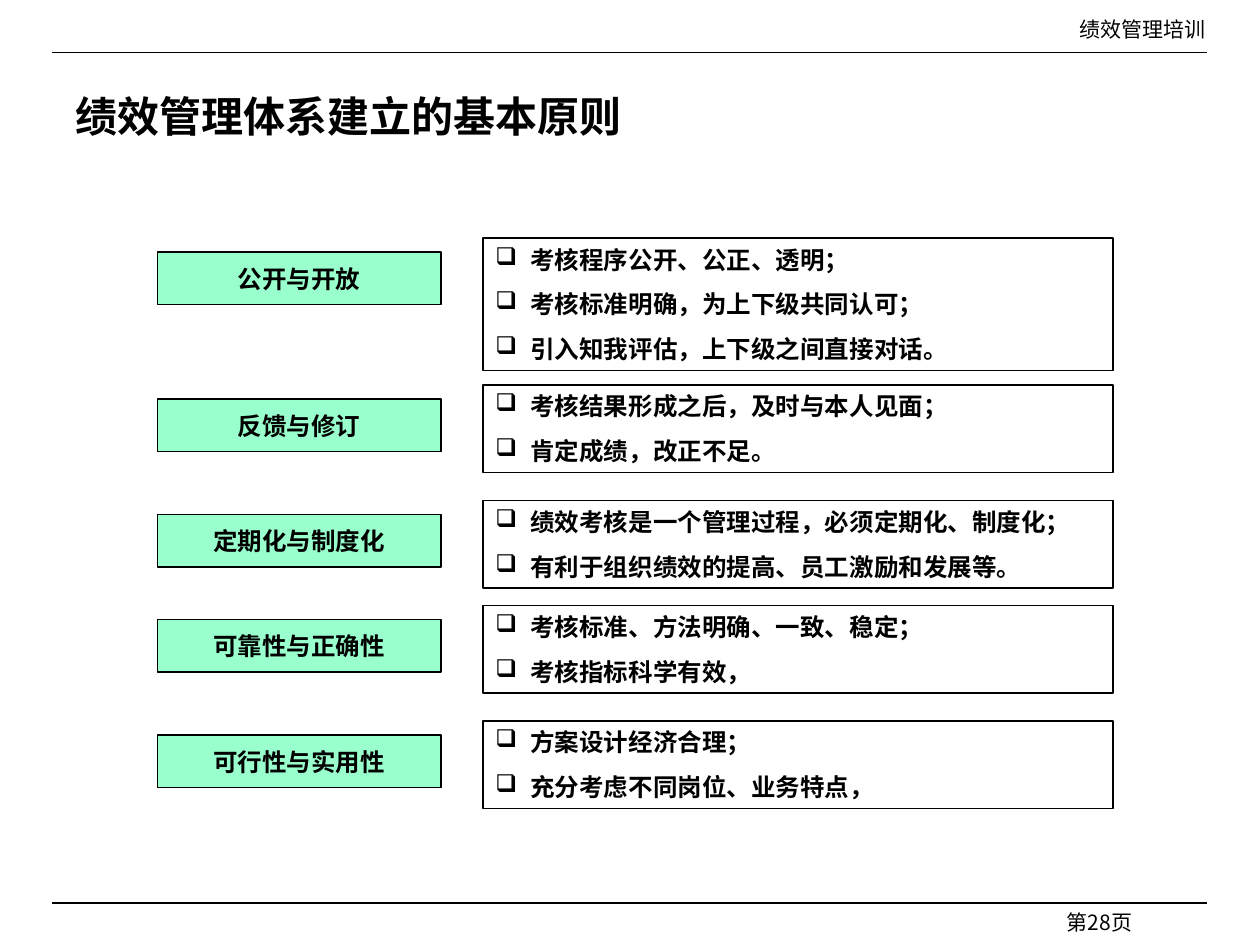
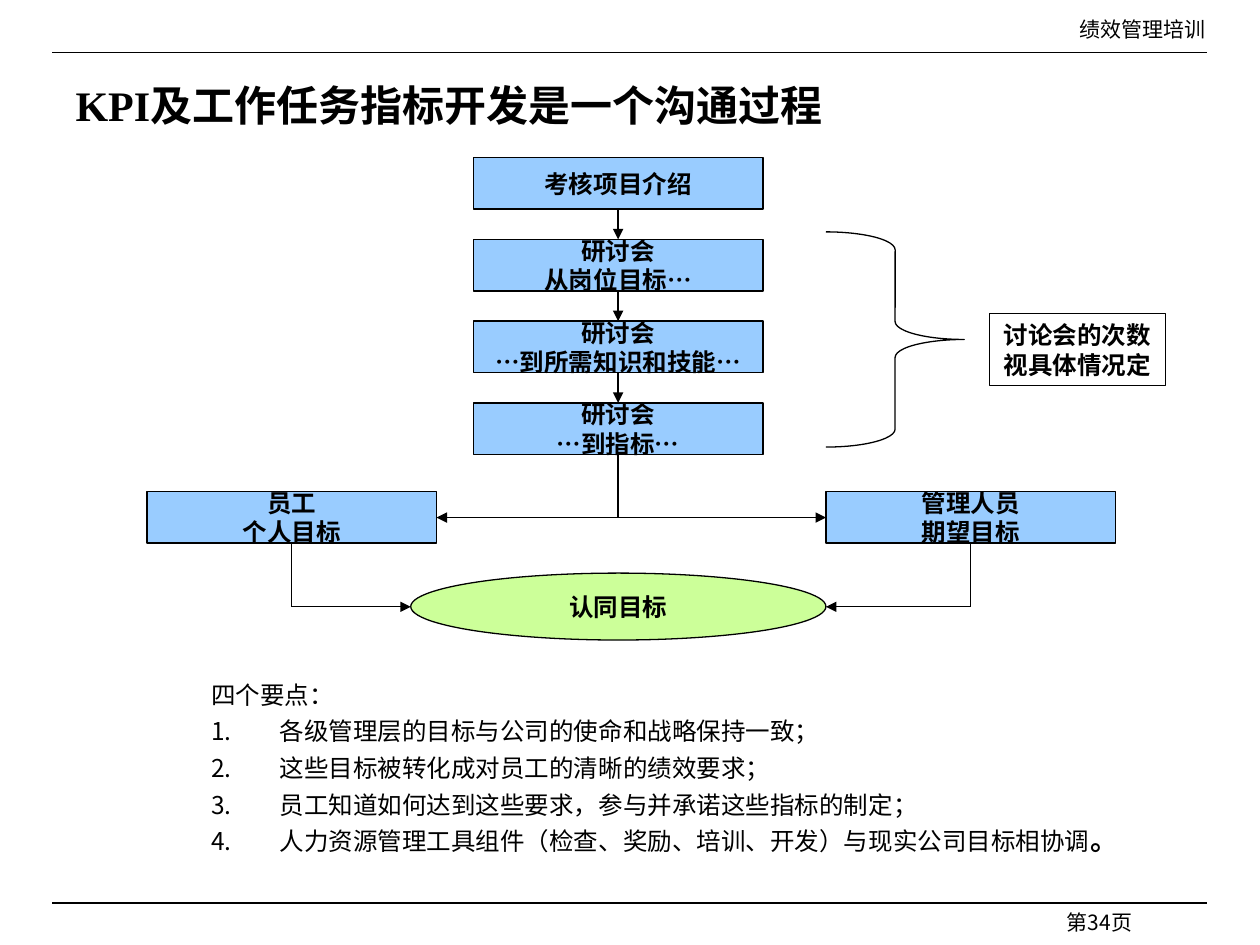
from copy import deepcopy
from lxml.etree import SubElement
from pptx import Presentation
from pptx.dml.color import RGBColor
from pptx.enum.shapes import MSO_CONNECTOR, MSO_SHAPE
from pptx.enum.text import MSO_ANCHOR, MSO_AUTO_SIZE, PP_ALIGN
from pptx.oxml.ns import qn
from pptx.util import Pt

BLACK = RGBColor(0x00, 0x00, 0x00)
MINT = RGBColor(0x99, 0xFF, 0xCC)
BLUE = RGBColor(0x99, 0xCC, 0xFF)
LIME = RGBColor(0xCC, 0xFF, 0x99)
SERIF = "Times New Roman"
SANS = "Noto Sans CJK SC"
LEFT, MID, RIGHT = PP_ALIGN.LEFT, PP_ALIGN.CENTER, PP_ALIGN.RIGHT


def write(shape, text, size=14, bold=True, font=SERIF, align=MID, lead=17,
          gap=0, anchor=MSO_ANCHOR.MIDDLE, wrap=True, mark=None, hang=0):
    """Fill a shape with one paragraph per line of text."""
    frame = shape.text_frame
    frame.auto_size = MSO_AUTO_SIZE.NONE
    frame.word_wrap = wrap
    frame.vertical_anchor = anchor
    frame.text = text
    for i, para in enumerate(frame.paragraphs):
        para.alignment = align
        if lead:
            para.line_spacing = Pt(lead)
        para.space_before = Pt(gap if i else 0)
        props = para._p.get_or_add_pPr()
        props.set("marL", str(Pt(hang)))
        props.set("indent", str(-Pt(hang)))
        if mark == "1." and i:
            SubElement(props, qn("a:buAutoNum"), type="arabicPeriod")
        elif mark and mark != "1.":
            SubElement(props, qn("a:buChar"), char=mark)
        else:
            SubElement(props, qn("a:buNone"))
        for run in para.runs:
            run.font.size = Pt(size)
            run.font.bold = bold
            run.font.name = font
            run.font.color.rgb = BLACK
            SubElement(run._r.get_or_add_rPr(), qn("a:ea"), typeface=SANS)


def draw(slide, kind, area, fill=None, tip=False):
    """Add a thin black outline: a preset shape, or a line if kind is None."""
    spots = [Pt(n) for n in area]
    if kind is None:
        item = slide.shapes.add_connector(MSO_CONNECTOR.STRAIGHT, *spots)
        item.line.fill.solid()
    else:
        item = slide.shapes.add_shape(kind, *spots)
        item.shadow.inherit = False
        if fill is None:
            item.fill.background()
        else:
            item.fill.solid()
            item.fill.fore_color.rgb = fill
    item.line.color.rgb = BLACK
    item.line.width = Pt(0.75)
    if tip:
        SubElement(item.line._get_or_add_ln(), qn("a:tailEnd"), type="triangle")
    if kind is None:
        SubElement(item._element.spPr, qn("a:effectLst"))
    return item


deck = Presentation()
deck.slide_width, deck.slide_height = Pt(720), Pt(540)

# Shared frame: title, rules, header and page number
pages = []
for plan, title, top, page in [
    (5, "绩效管理体系建立的基本原则", 42, "第28页"),
    (1, "KPI及工作任务指标开发是一个沟通过程", 36, "第34页"),
]:
    slide = deck.slides.add_slide(deck.slide_layouts[plan])
    pages.append(slide)
    head = slide.shapes.title
    head.left, head.top, head.width, head.height = Pt(36), Pt(top), Pt(642), Pt(48)
    write(head, title, size=24, align=LEFT, lead=None)
    for y in (30, 516):
        draw(slide, None, (30, y, 690, y))
    for text, font, area in [
        ("绩效管理培训", SERIF, (360, 6, 336, 22)),
        (page, SANS, (504, 516, 150, 12)),
    ]:
        box = slide.shapes.add_textbox(*[Pt(n) for n in area])
        write(box, text, size=12, bold=False, font=font, align=RIGHT,
              lead=14.5, anchor=MSO_ANCHOR.TOP)

rules, flow = pages

# Principles: a label and its list on each row
for top, label, points in [
    (144, "公开与开放", ["考核程序公开、公正、透明；",
                    "考核标准明确，为上下级共同认可；",
                    "引入知我评估，上下级之间直接对话。"]),
    (228, "反馈与修订", ["考核结果形成之后，及时与本人见面；",
                    "肯定成绩，改正不足。"]),
    (294, "定期化与制度化", ["绩效考核是一个管理过程，必须定期化、制度化；",
                      "有利于组织绩效的提高、员工激励和发展等。"]),
    (354, "可靠性与正确性", ["考核标准、方法明确、一致、稳定；",
                      "考核指标科学有效，"]),
    (420, "可行性与实用性", ["方案设计经济合理；",
                      "充分考虑不同岗位、业务特点，"]),
]:
    name = draw(rules, MSO_SHAPE.RECTANGLE, (90, top, 162, 30), MINT)
    write(name, label, wrap=False)
    high = 25.6 * len(points) - 1.2
    box = draw(rules, MSO_SHAPE.RECTANGLE, (276, top - 8, 360, high))
    write(box, "\n".join(points), align=LEFT, gap=8.6,
          anchor=MSO_ANCHOR.TOP, mark="❑", hang=20)

# Process: a column of steps that forks to two parties
WIDE, HIGH, STEP = 165.5, 29.5, 46.75
COL, TOP, AXIS = 270.5, 90, 353.25
steps = ["考核项目介绍", "研讨会\n从岗位目标…", "研讨会\n…到所需知识和技能…",
         "研讨会\n…到指标…"]
cells = [(COL, TOP + i * STEP, text) for i, text in enumerate(steps)]
cells += [(84, 280.75, "员工\n个人目标"), (472, 280.75, "管理人员\n期望目标")]
for x, y, text in cells:
    box = draw(flow, MSO_SHAPE.RECTANGLE, (x, y, WIDE, HIGH), BLUE)
    write(box, text, wrap=False)
goal = draw(flow, MSO_SHAPE.OVAL, (234.75, 327.5, 237.25, 38.25), LIME)
write(goal, "认同目标", wrap=False)

for i in range(1, len(steps)):
    y = TOP + i * STEP
    draw(flow, None, (AXIS, y - STEP + HIGH, AXIS, y), tip=True)
FORK, JOIN = 295.75, 346.75
draw(flow, None, (AXIS, 259.75, AXIS, FORK))
for edge, stem, rim in [(249.5, 166.5, 234.75), (472, 554.5, 472)]:
    draw(flow, None, (AXIS, FORK, edge, FORK), tip=True)
    draw(flow, None, (stem, 310.25, stem, JOIN))
    draw(flow, None, (stem, JOIN, rim, JOIN), tip=True)

brace = draw(flow, MSO_SHAPE.RIGHT_BRACE, (472, 132.5, 79, 123))
brace.adjustments[0] = 0.13
note = draw(flow, MSO_SHAPE.RECTANGLE, (565.25, 179.25, 100.75, 41))
write(note, "讨论会的次数视具体情况定", anchor=MSO_ANCHOR.TOP)

# Key points
body = flow.placeholders[1]
body.left, body.top, body.width, body.height = Pt(113.5), Pt(384.5), Pt(564), Pt(107)
write(body, "\n".join([
    "四个要点：",
    "各级管理层的目标与公司的使命和战略保持一致；",
    "这些目标被转化成对员工的清晰的绩效要求；",
    "员工知道如何达到这些要求，参与并承诺这些指标的制定；",
    "人力资源管理工具组件（检查、奖励、培训、开发）与现实公司目标相协调",
]), bold=False, font=SANS, align=LEFT, gap=4, anchor=MSO_ANCHOR.TOP,
    mark="1.", hang=39)
last = body.text_frame.paragraphs[-1]
last._p.append(deepcopy(last.runs[0]._r))
stop = last.runs[1]
stop.text = "。"
stop.font.size = Pt(16)
stop.font.bold = True

deck.save("out.pptx")
